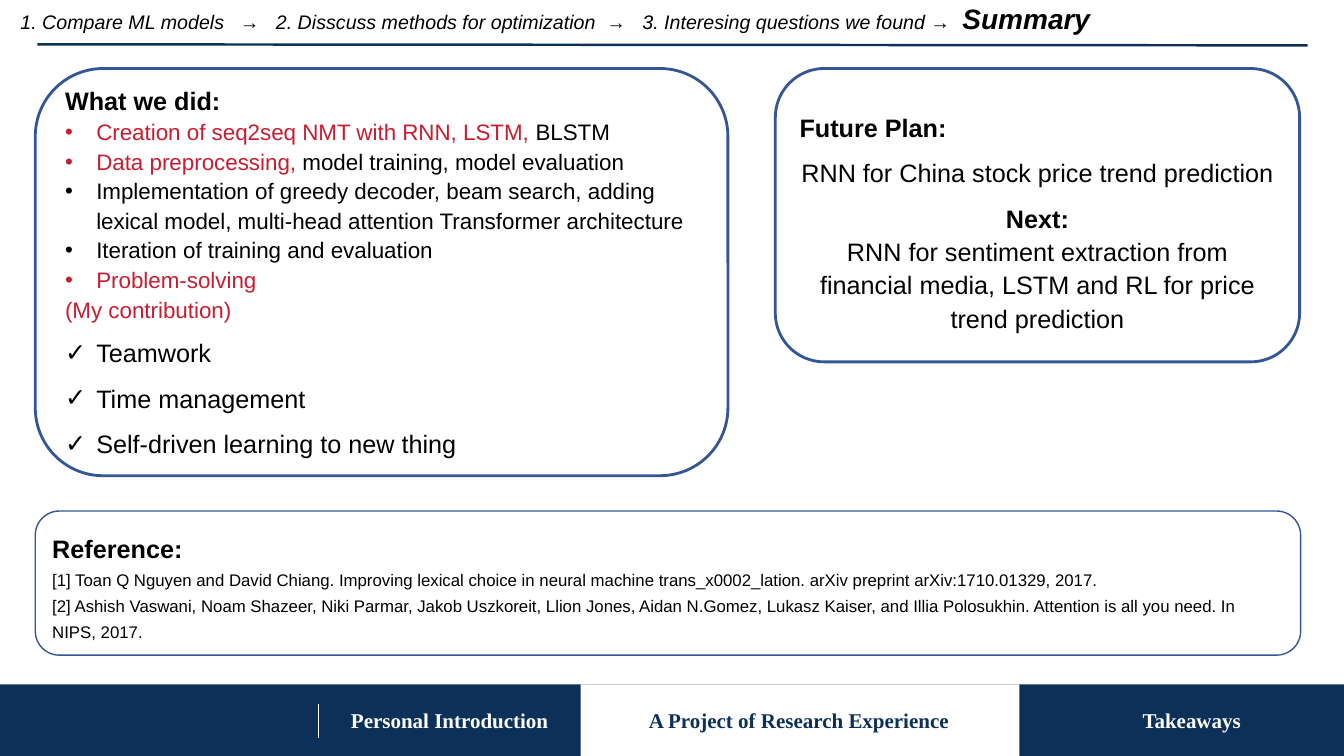
from lxml.etree import SubElement
from pptx import Presentation
from pptx.dml.color import RGBColor
from pptx.enum.shapes import MSO_CONNECTOR, MSO_SHAPE
from pptx.enum.text import MSO_ANCHOR, PP_ALIGN
from pptx.oxml.ns import qn
from pptx.util import Inches, Pt

NAVY, BLUE, RED, BLACK, WHITE = "0C3057", "355696", "C81D31", "000000", "FFFFFF"
LEFT, CENTER = PP_ALIGN.LEFT, PP_ALIGN.CENTER
INDENT = 0.31

BREADCRUMB = [
    (" 1. Compare ML models", 14, False),
    ("  ", 20, True),
    ("→   2. Disscuss methods for optimization  →   3. Interesing questions we found →  ", 14, False),
    ("Summary", 20, True),
]


def heading(text, spacing):
    return ([(text, BLACK)], 18, True, LEFT, spacing, None)


def bullet(*runs):
    return (list(runs), 16, False, LEFT, 1.1, "•")


def check(text):
    return ([(text, BLACK)], 18, False, LEFT, 1.5, "✓")


def plan(text, spacing, bold=False):
    return ([(text, BLACK)], 18, bold, CENTER, spacing, None)


def citation(text):
    return ([(text, BLACK)], 12, False, LEFT, 1.3, None)


WHAT_WE_DID = [
    heading("What we did:", 1.0),
    bullet(("Creation of seq2seq NMT with RNN, LSTM,", RED), (" BLSTM", BLACK)),
    bullet(("Data preprocessing,", RED), (" model training, model evaluation", BLACK)),
    bullet(("Implementation of greedy decoder, beam search, adding lexical model, "
            "multi-head attention Transformer architecture", BLACK)),
    bullet(("Iteration of training and evaluation", BLACK)),
    bullet(("Problem-solving", RED)),
    ([("(My contribution)", RED)], 16, False, LEFT, 1.1, None),
    check("Teamwork"),
    check("Time management"),
    check("Self-driven learning to new thing"),
]
FUTURE_PLAN = [
    heading("Future Plan:", 1.5),
    plan("RNN for China stock price trend prediction", 1.5),
    plan("Next:", 1.5, True),
    plan("RNN for sentiment extraction from financial media, "
         "LSTM and RL for price trend prediction", 1.1),
]
REFERENCE = [
    heading("Reference:", 1.3),
    citation("[1] Toan Q Nguyen and David Chiang. Improving lexical choice in neural machine "
             "trans_x0002_lation. arXiv preprint arXiv:1710.01329, 2017."),
    citation("[2] Ashish Vaswani, Noam Shazeer, Niki Parmar, Jakob Uszkoreit, Llion Jones, "
             "Aidan N.Gomez, Lukasz Kaiser, and Illia Polosukhin. Attention is all you need. "
             "In NIPS, 2017."),
]
PANELS = [
    ((0.35, 0.68, 6.87, 4.04), 2, WHAT_WE_DID),
    ((7.69, 0.68, 5.2, 2.91), 2, FUTURE_PLAN),
    ((0.35, 5.07, 12.55, 1.43), 1, REFERENCE),
]
FOOTER_TOP, FOOTER_HEIGHT = 6.79, 0.71
FOOTER_BANDS = [(0, 13.33, NAVY), (5.76, 4.35, WHITE)]
FOOTER_LABELS = [
    ("Personal Introduction", 3.32, 2.28, WHITE),
    ("A Project of Research Experience", 6.27, 3.31, NAVY),
    ("Takeaways", 10.62, 2.4, WHITE),
]
RULES = [
    ((0.37, 0.44), (12.97, 0.45), NAVY, 1.75),
    ((3.16, 6.98), (3.16, 7.32), WHITE, 1),
]

deck = Presentation()
deck.slide_width, deck.slide_height = Inches(13.33), Inches(7.5)
slide = deck.slides.add_slide(deck.slide_layouts[6])


def color(hex_value):
    return RGBColor.from_string(hex_value)


def add_run(paragraph, text, size, hex_value, bold=False, italic=False, font="Arial"):
    run = paragraph.add_run()
    run.text = text
    run.font.name, run.font.size = font, Pt(size)
    run.font.bold, run.font.italic = bold, italic
    run.font.color.rgb = color(hex_value)


def add_text(box):
    frame = slide.shapes.add_textbox(*map(Inches, box)).text_frame
    frame.word_wrap = True
    return frame.paragraphs[0]


def add_box(kind, box):
    shape = slide.shapes.add_shape(kind, *map(Inches, box))
    shape.shadow.inherit = False
    return shape


def add_rule(start, end, hex_value, width):
    rule = slide.shapes.add_connector(MSO_CONNECTOR.STRAIGHT, *map(Inches, start + end))
    rule.line.color.rgb = color(hex_value)
    rule.line.width = Pt(width)
    SubElement(rule._element.spPr, qn("a:effectLst"))


def set_bullet(paragraph, mark):
    properties = paragraph._p.get_or_add_pPr()
    properties.set("marL", str(Inches(INDENT)))
    properties.set("indent", str(-Inches(INDENT)))
    SubElement(properties, qn("a:buFont")).set("typeface", "Arial")
    SubElement(properties, qn("a:buChar")).set("char", mark)


def add_panel(box, line_width, lines):
    panel = add_box(MSO_SHAPE.ROUNDED_RECTANGLE, box)
    panel.fill.background()
    panel.line.color.rgb = color(BLUE)
    panel.line.width = Pt(line_width)
    frame = panel.text_frame
    frame.word_wrap = True
    frame.vertical_anchor = MSO_ANCHOR.MIDDLE
    for index, (runs, size, bold, align, spacing, mark) in enumerate(lines):
        paragraph = frame.add_paragraph() if index else frame.paragraphs[0]
        paragraph.alignment, paragraph.line_spacing = align, spacing
        if mark:
            set_bullet(paragraph, mark)
        for text, hex_value in runs:
            add_run(paragraph, text, size, hex_value, bold)


breadcrumb = add_text((0.05, -0.03, 13.25, 0.4))
for text, size, bold in BREADCRUMB:
    add_run(breadcrumb, text, size, BLACK, bold, italic=True)

for left, width, fill in FOOTER_BANDS:
    band = add_box(MSO_SHAPE.RECTANGLE, (left, FOOTER_TOP, width, FOOTER_HEIGHT))
    band.fill.solid()
    band.fill.fore_color.rgb = color(fill)
    band.line.fill.background()

for text, left, width, hex_value in FOOTER_LABELS:
    label = add_text((left, 6.97, width, 0.35))
    label.alignment = CENTER
    add_run(label, text, 15, hex_value, bold=True, font="Times New Roman")

for rule in RULES:
    add_rule(*rule)
for panel in PANELS:
    add_panel(*panel)

deck.save("out.pptx")
